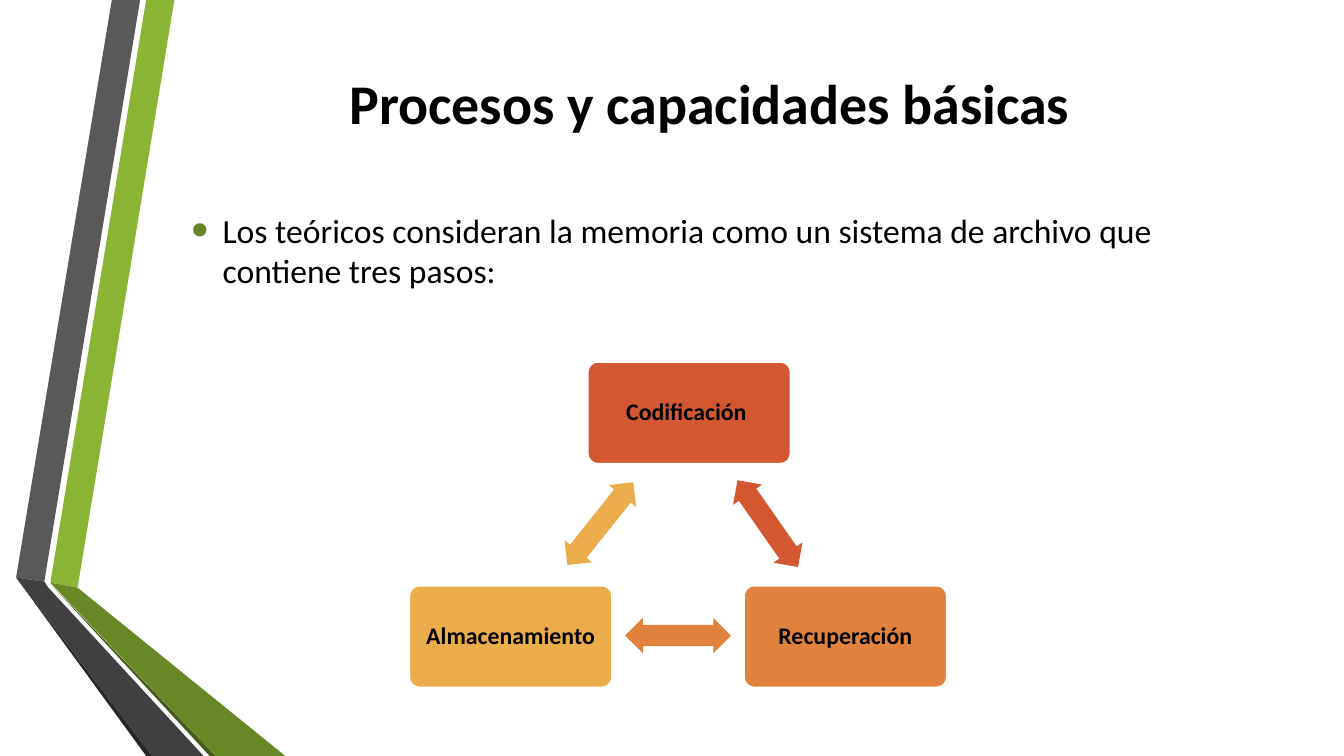
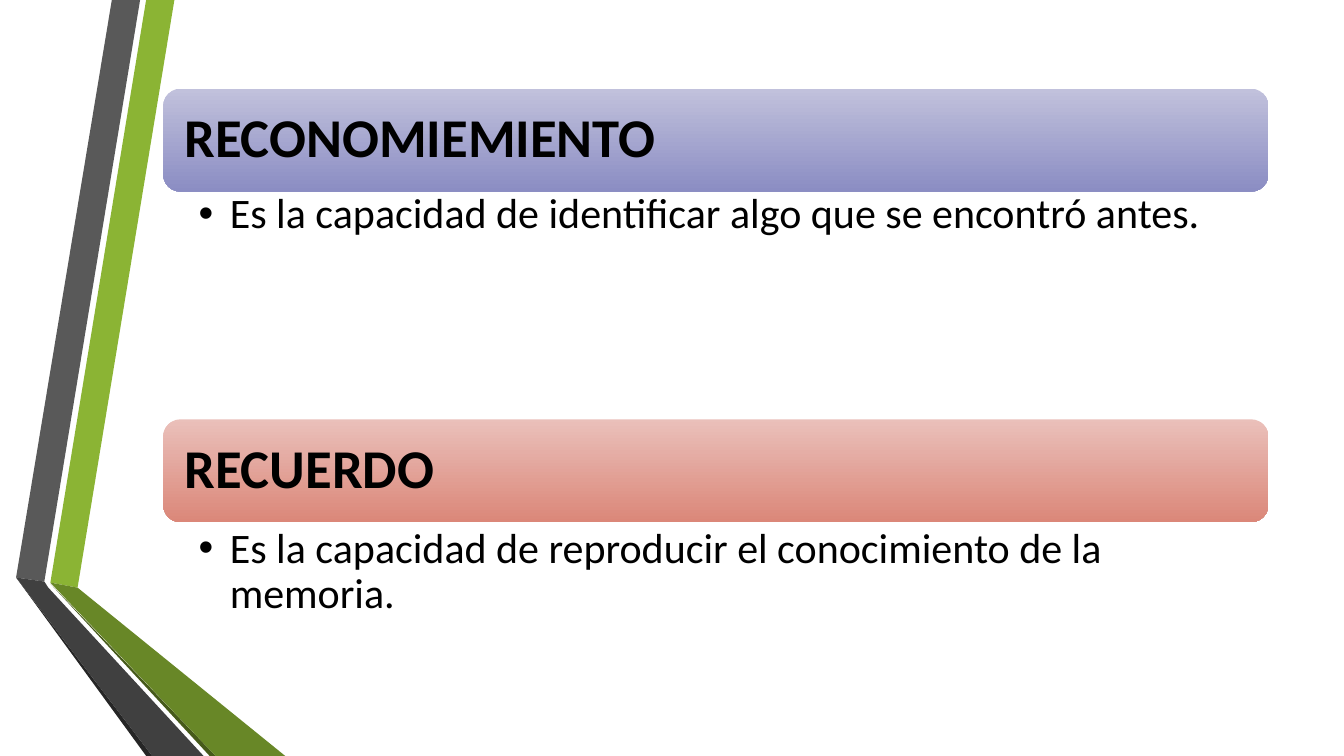
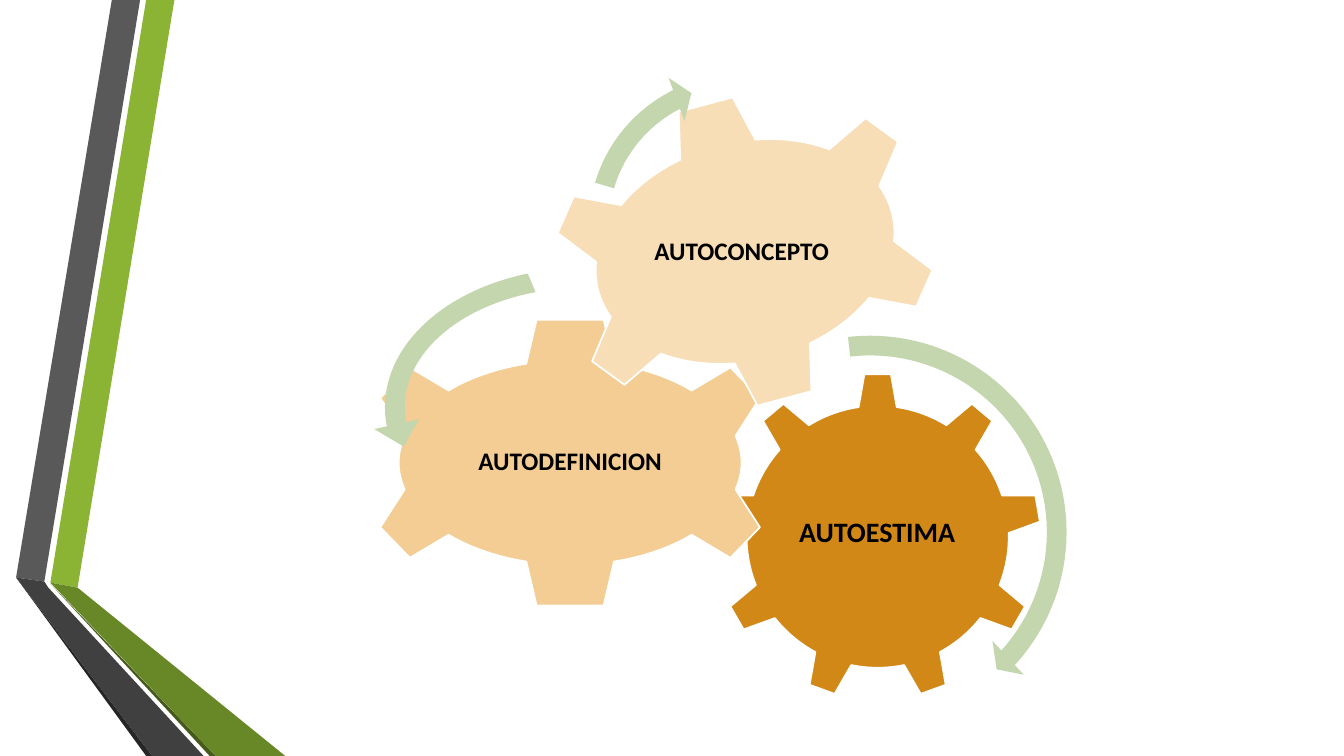
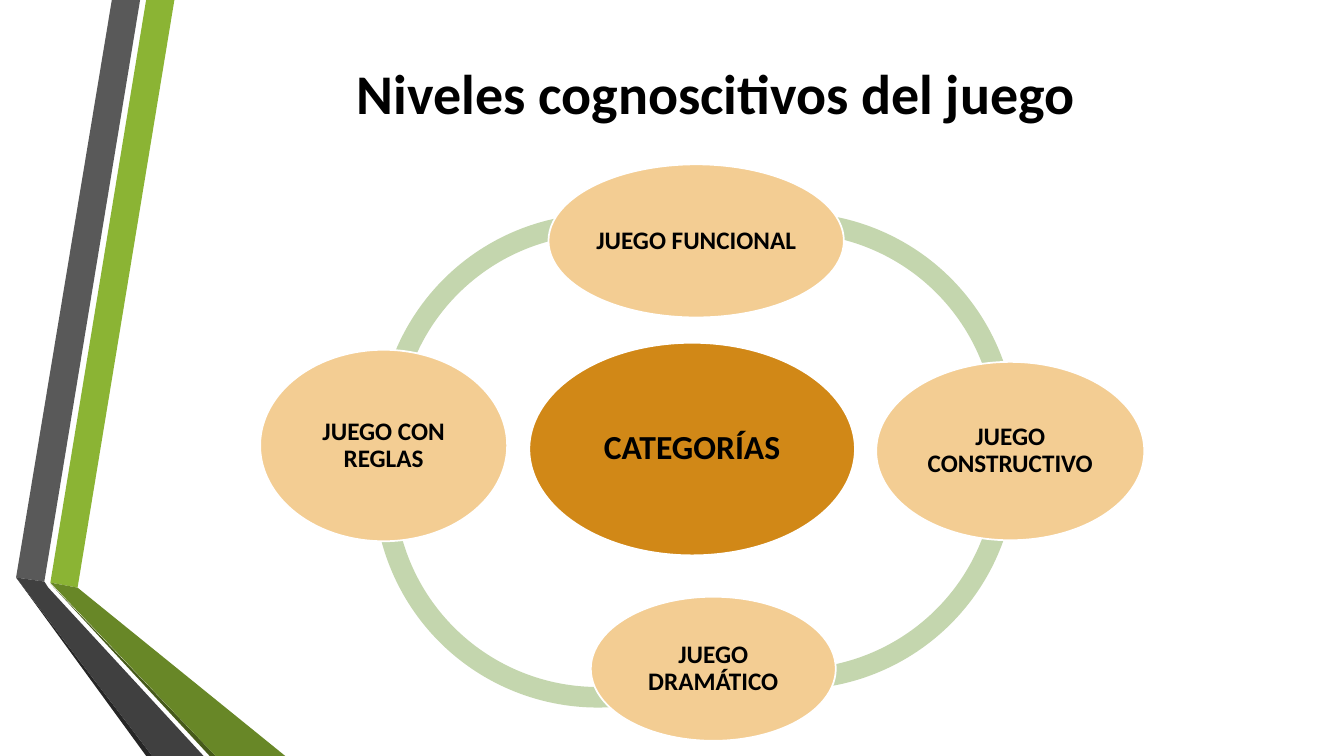
from pptx import Presentation
from pptx.dml.color import RGBColor
from pptx.enum.shapes import MSO_SHAPE
from pptx.enum.text import MSO_ANCHOR, PP_ALIGN
from pptx.oxml.ns import qn
from pptx.util import Inches, Pt
from lxml import etree

ROUND = MSO_SHAPE.ROUNDED_RECTANGLE
DOUBLE = MSO_SHAPE.LEFT_RIGHT_ARROW
OVAL = MSO_SHAPE.OVAL
ARC = MSO_SHAPE.BLOCK_ARC
GEAR6 = MSO_SHAPE.GEAR_6
GEAR9 = MSO_SHAPE.GEAR_9
TURN = MSO_SHAPE.CIRCULAR_ARROW
BACK = MSO_SHAPE.LEFT_CIRCULAR_ARROW
TOP, MIDDLE = MSO_ANCHOR.TOP, MSO_ANCHOR.MIDDLE
LEFT, CENTER = PP_ALIGN.LEFT, PP_ALIGN.CENTER

FONT = "Calibri"
BLACK, WHITE = "000000", "FFFFFF"
LEAF, SAGE = "688727", "C4D6AE"
OCHRE, SAND, CREAM = "D18817", "F3CD93", "F7DEB7"
RED, ORANGE, AMBER = "D35731", "E0823D", "EBAC4B"
WIDE_LEFT, WIDE = 1.62, 10.96

RIBBONS = [
    ("8BB434", [(0.5, 5.78), (0.77, 5.83), (1.73, 0), (1.45, 0)]),
    ("595959", [(1.39, 0), (1.11, 0), (0.16, 5.73), (0.44, 5.77)]),
    ("262626", [(0.16, 5.73), (1.45, 7.5), (1.51, 7.5)]),
    ("465A1A", [(0.5, 5.79), (2.08, 7.5), (2.14, 7.5)]),
    (LEAF, [(0.5, 5.78), (2.14, 7.5), (2.83, 7.5), (0.77, 5.83)]),
    ("404040", [(2.02, 7.5), (0.48, 5.83), (0.44, 5.77), (0.16, 5.73), (1.51, 7.5)]),
]


def rgb(code):
    """Turn a hex string into a colour."""
    return RGBColor.from_string(code)


def apply(item, values):
    """Set each named attribute of an item."""
    for name, value in values.items():
        setattr(item, name, value)


def paint(shape, fill, line=None):
    """Give a shape a flat fill and an optional outline."""
    shape.shadow.inherit = False
    shape.fill.solid()
    shape.fill.fore_color.rgb = rgb(fill)
    if line:
        shape.line.color.rgb = rgb(line)
        shape.line.width = Pt(1.25)
    else:
        shape.line.fill.background()


def write(shape, words, size, bold=True, align=CENTER, anchor=MIDDLE,
          inset=(0.03, 0.03, 0.03, 0.03), spacing=0.9):
    """Fill a shape with one paragraph and return that paragraph."""
    frame = shape.text_frame
    sides = ("margin_left", "margin_top", "margin_right", "margin_bottom")
    apply(frame, {side: Inches(gap) for side, gap in zip(sides, inset)})
    apply(frame, {"word_wrap": True, "vertical_anchor": anchor})
    para = frame.paragraphs[0]
    apply(para, {"alignment": align, "line_spacing": spacing})
    run = para.add_run()
    run.text = words
    apply(run.font, {"name": FONT, "size": Pt(size), "bold": bold})
    run.font.color.rgb = rgb(BLACK)
    return para


def bullet(para, color, percent):
    """Add a hanging round bullet to a paragraph."""
    props = para._p.get_or_add_pPr()
    indent = Inches(0.31)
    props.set("marL", str(indent))
    props.set("indent", str(-indent))
    tint = etree.SubElement(props, qn("a:buClr"))
    etree.SubElement(tint, qn("a:srgbClr"), val=color)
    etree.SubElement(props, qn("a:buSzPct"), val=str(percent * 1000))
    etree.SubElement(props, qn("a:buFont"), typeface="Arial")
    etree.SubElement(props, qn("a:buChar"), char="•")


def box(slide, at):
    """Add an empty text box."""
    return slide.shapes.add_textbox(*map(Inches, at))


def form(slide, kind, at, fill, line=None, adjust=(), turn=0):
    """Add a preset shape with its adjustments and rotation."""
    shape = slide.shapes.add_shape(kind, *map(Inches, at))
    paint(shape, fill, line)
    shape.rotation = turn
    for index, value in enumerate(adjust):
        shape.adjustments[index] = value
    return shape


def ribbon(slide, fill, points):
    """Draw one closed outline of the side ribbons."""
    dots = [(Inches(x), Inches(y)) for x, y in points]
    pen = slide.shapes.build_freeform(*dots[0], scale=1.0)
    pen.add_line_segments(dots[1:], close=True)
    paint(pen.convert_to_shape(), fill)


def page(deck):
    """Add a blank slide with the side ribbons."""
    slide = deck.slides.add_slide(deck.slide_layouts[6])
    for fill, points in RIBBONS:
        ribbon(slide, fill, points)
    return slide


def title(slide, words, top):
    """Add a centred slide title."""
    write(box(slide, (WIDE_LEFT, top, WIDE, 1.25)), words, 40,
          inset=(0.1, 0.05, 0.1, 0.05), spacing=1.0)


def steps(deck):
    """Build the slide of the three memory steps."""
    slide = page(deck)
    title(slide, "Procesos y capacidades básicas ", 0.39)
    para = write(box(slide, (1.8, 1.84, 10.78, 1.28)),
                 "Los teóricos consideran la memoria como un sistema de archivo "
                 "que contiene tres pasos:", 24, bold=False, align=LEFT,
                 inset=(0.1, 0.05, 0.1, 0.05), spacing=1.0)
    bullet(para, LEAF, 145)
    cards = [
        ("Codificación ", RED, (5.83, 3.59), (7.09, 5.02), 55.1),
        ("Recuperación", ORANGE, (7.38, 5.81), (6.2, 6.13), 180),
        ("Almacenamiento", AMBER, (4.06, 5.81), (5.43, 5.02), 308.6),
    ]
    for words, fill, place, link, turn in cards:
        card = form(slide, ROUND, (*place, 2.01, 1.01), fill, WHITE, [0.1])
        write(card, words, 17, inset=(0.07, 0.07, 0.07, 0.07))
        form(slide, DOUBLE, (*link, 1.05, 0.35), fill, adjust=[0.6, 0.5], turn=turn)


def band(slide, words, top, shades):
    """Add a wide heading band with a vertical gradient."""
    shape = form(slide, ROUND, (WIDE_LEFT, top, WIDE, 1.02), shades[0])
    shape.fill.gradient()
    shape.fill.gradient_angle = 270
    for stop, shade, place in zip(shape.fill.gradient_stops, shades, (0, 1)):
        stop.color.rgb = rgb(shade)
        stop.position = place
    write(shape, words, 39, align=LEFT, inset=(0.16, 0.16, 0.16, 0.16))


def skills(deck):
    """Build the slide that defines the two capacities."""
    slide = page(deck)
    rows = [
        ("RECONOMIEMIENTO", 0.88, ("C1C1DC", "8B8DC3"), 1.86, 2.25,
         "Es la capacidad de identificar algo que se encontró antes."),
        ("RECUERDO", 4.16, ("EAC0BA", "DB8779"), 5.18, 1.04,
         "Es la capacidad de reproducir el conocimiento de la memoria."),
    ]
    for head, top, shades, low, tall, words in rows:
        band(slide, head, top, shades)
        para = write(box(slide, (WIDE_LEFT, low, WIDE, tall)), words, 30,
                     bold=False, align=LEFT, anchor=TOP,
                     inset=(0.35, 0.05, 0.3, 0.05))
        bullet(para, BLACK, 100)


def gears(deck):
    """Build the slide of the three gears."""
    slide = page(deck)
    wheels = [
        (GEAR9, (7.08, 3.7, 3.25, 3.25), OCHRE, 0,
         "AUTOESTIMA", 20, (7.73, 4.46, 1.94, 1.67)),
        (GEAR6, (3.52, 3.14, 4.27, 2.9), SAND, 0,
         "AUTODEFINICION", 18, (4.45, 3.87, 2.41, 1.43)),
        (GEAR6, (5.42, 0.95, 3.94, 3.09), CREAM, 345,
         "AUTOCONCEPTO ", 18, (6.33, 1.58, 2.11, 1.84)),
    ]
    for kind, at, fill, turn, words, size, inner in wheels:
        form(slide, kind, at, fill, WHITE, turn=turn)
        write(box(slide, inner), words, size)
    arrows = [
        (TURN, (6.55, 3.2, 4.16, 4.16), 0, (0.047, 2.99, 25.39, 158.129, 0.055)),
        (BACK, (3.69, 2.53, 4.2, 3.02), 0, (0.065, 4.3, 104.891, 148.378, 0.075)),
        (TURN, (5.71, 0.61, 3.26, 3.26), 21.4, (0.06, 3.941, 133.138, 105.082, 0.07)),
    ]
    for kind, at, turn, adjust in arrows:
        form(slide, kind, at, SAGE, adjust=adjust, turn=turn)


def levels(deck):
    """Build the slide of the levels of play."""
    slide = page(deck)
    title(slide, "Niveles cognoscitivos del juego", 0.29)
    arcs = [
        (3.75, 2.12, 106.742, 177.407),
        (3.71, 2.58, 34.925, 114.004),
        (5.64, 2.4, 213.679, 66.699),
        (5.64, 2.11, 146.347, 2.182),
    ]
    for left, top, start, end in arcs:
        form(slide, ARC, (left, top, 4.44, 4.44), SAGE, adjust=(start, end, 0.046))
    ovals = [
        ("CATEGORÍAS", 24, OCHRE, (5.25, 3.4, 3.23, 2.11)),
        ("JUEGO FUNCIONAL", 18, SAND, (5.44, 1.63, 2.93, 1.52)),
        ("JUEGO CONSTRUCTIVO", 18, SAND, (8.69, 3.59, 2.66, 1.77)),
        ("JUEGO DRAMÁTICO", 18, SAND, (5.86, 5.92, 2.43, 1.43)),
        ("JUEGO CON REGLAS", 18, SAND, (2.58, 3.47, 2.45, 1.9)),
    ]
    for words, size, fill, at in ovals:
        write(form(slide, OVAL, at, fill, WHITE), words, size)


def main():
    """Build and save the deck."""
    deck = Presentation()
    apply(deck, {"slide_width": Inches(13.33), "slide_height": Inches(7.5)})
    for build in (steps, skills, gears, levels):
        build(deck)
    deck.save("out.pptx")


if __name__ == "__main__":
    main()
